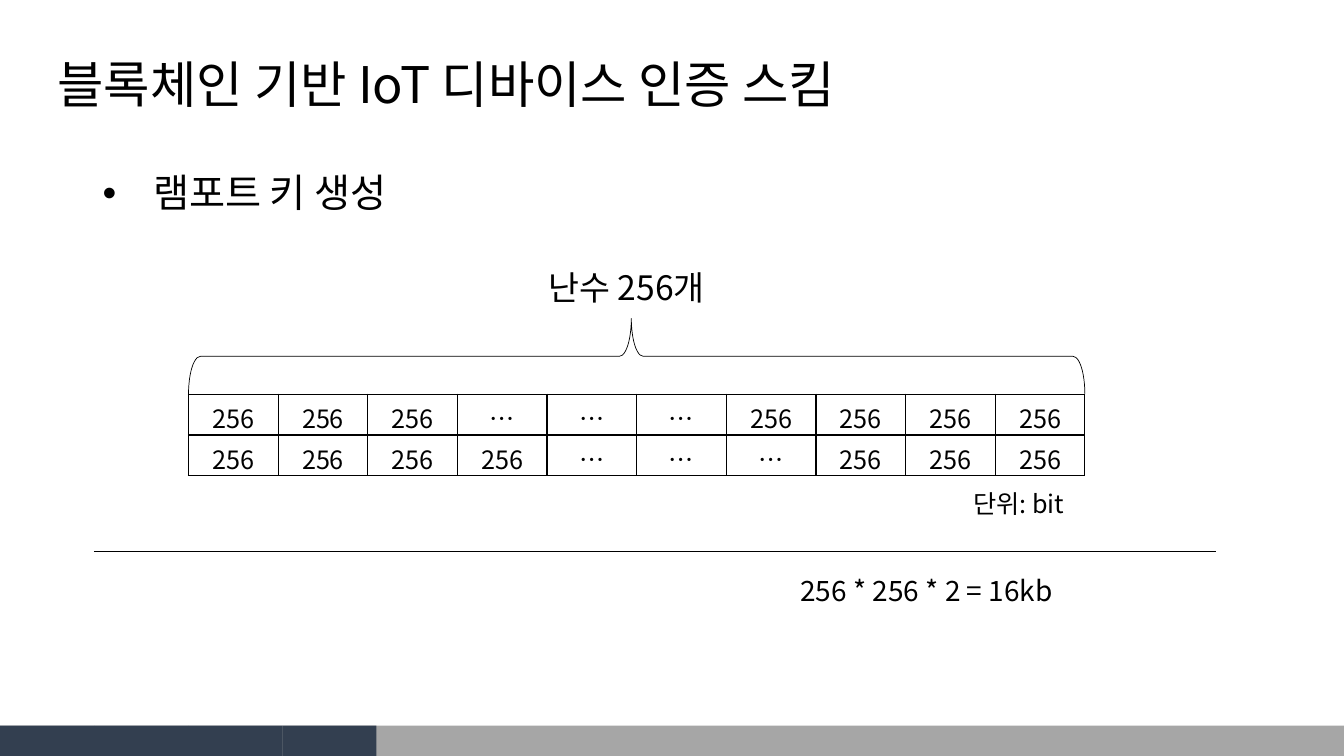
from lxml import etree
from pptx import Presentation
from pptx.dml.color import RGBColor
from pptx.enum.shapes import MSO_CONNECTOR, MSO_SHAPE
from pptx.enum.text import MSO_ANCHOR, PP_ALIGN
from pptx.oxml.ns import qn
from pptx.util import Inches, Pt

FONT = "Noto Sans CJK KR"
COLORS = {"text": "000000", "bar": "A6A6A6", "accent": "333F50"}


def rgb(name):
    return RGBColor.from_string(COLORS[name])


def write(paragraph, text, size, align=PP_ALIGN.LEFT):
    run = paragraph.add_run()
    run.text = text
    paragraph.alignment = align
    for key, value in {"name": FONT, "size": Pt(size), "bold": False}.items():
        setattr(run.font, key, value)
    run.font.color.rgb = rgb("text")
    etree.SubElement(run.font._element, qn("a:ea"), typeface=FONT)


deck = Presentation()
deck.slide_width, deck.slide_height = Inches(13.33), Inches(7.5)
slide = deck.slides.add_slide(deck.slide_layouts[6])
shapes = slide.shapes

# Footer: grey bar with four dark segments
segment = 2.8 / 3
footer = [(0, 13.33, "bar")] + [(i * segment, segment, "accent") for i in range(4)]
for left, width, color in footer:
    block = shapes.add_shape(MSO_SHAPE.RECTANGLE, Inches(left), Inches(7.2),
                             Inches(width), Inches(0.3))
    block.shadow.inherit = False
    block.fill.solid()
    block.fill.fore_color.rgb = rgb(color)
    block.line.fill.background()

# Title, bullet and labels: text, left, top, width, height, size
headings = [
    ("블록체인 기반 IoT 디바이스 인증 스킴", 0.47, 0.39, 11.5, 0.96, 36),
    ("램포트 키 생성", 0.92, 1.61, 11.9, 0.65, 28),
]
labels = [
    ("난수 256개", 5.07, 2.6, 2.29, 0.5, 24),
    ("단위: bit", 9.46, 4.8, 1.29, 0.4, 18),
    ("256 * 256 * 2 = 16kb", 7.62, 5.64, 3.14, 0.44, 20),
]
for text, left, top, width, height, size in headings + labels:
    frame = shapes.add_textbox(Inches(left), Inches(top), Inches(width),
                               Inches(height)).text_frame
    frame.word_wrap = True
    paragraph = frame.paragraphs[0]
    if size >= 28:
        frame.vertical_anchor = MSO_ANCHOR.MIDDLE
        paragraph.line_spacing = 0.9
    if size == 28:
        props = paragraph._p.get_or_add_pPr()
        props.set("marL", str(Inches(0.5)))
        props.set("indent", str(Inches(-0.5)))
        etree.SubElement(props, qn("a:buFont"), typeface="Arial")
        etree.SubElement(props, qn("a:buChar"), char="•")
    write(paragraph, text, size, PP_ALIGN.LEFT if size >= 28 else PP_ALIGN.CENTER)

# Key table: 256-bit random numbers with the middle left out
key_rows = [
    ["256"] * 3 + ["…"] * 3 + ["256"] * 4,
    ["256"] * 4 + ["…"] * 3 + ["256"] * 3,
]
keys = shapes.add_table(2, 10, Inches(1.87), Inches(3.91), Inches(8.89),
                        Inches(0.81)).table
keys.first_row = keys.horz_banding = False
for r, key_row in enumerate(key_rows):
    for c, value in enumerate(key_row):
        cell = keys.cell(r, c)
        write(cell.text_frame.paragraphs[0], value, 18, PP_ALIGN.CENTER)
        props = cell._tc.get_or_add_tcPr()
        for side in ("lnL", "lnR", "lnT", "lnB"):
            border = etree.SubElement(props, qn(f"a:{side}"), w=str(Pt(1)))
            fill = etree.SubElement(border, qn("a:solidFill"))
            etree.SubElement(fill, qn("a:srgbClr"), val=COLORS["text"])
        cell.fill.background()

# Brace over the table
brace = shapes.add_shape(MSO_SHAPE.LEFT_BRACE, Inches(5.94), Inches(-0.91),
                         Inches(0.75), Inches(8.89))
brace.rotation = 90
brace.adjustments[0], brace.adjustments[1] = 0.157, 0.506
brace.shadow.inherit = False
brace.fill.background()

# Line above the total
divider = shapes.add_connector(MSO_CONNECTOR.STRAIGHT, Inches(0.93), Inches(5.47),
                               Inches(12.06), Inches(5.47))
etree.SubElement(divider._element.spPr, qn("a:effectLst"))
for outline in (brace.line, divider.line):
    outline.color.rgb = rgb("text")
    outline.width = Pt(0.5)

deck.save("out.pptx")
